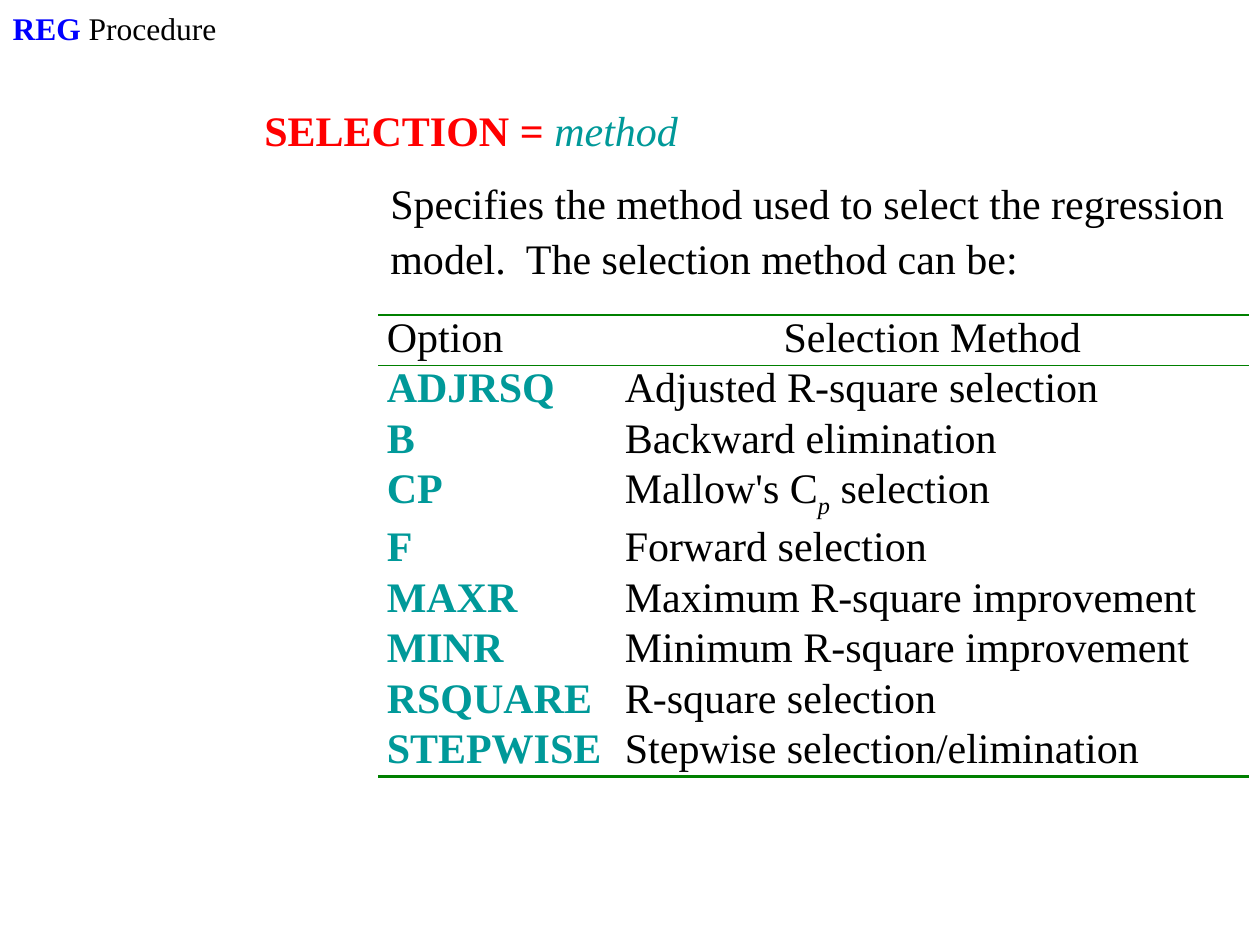
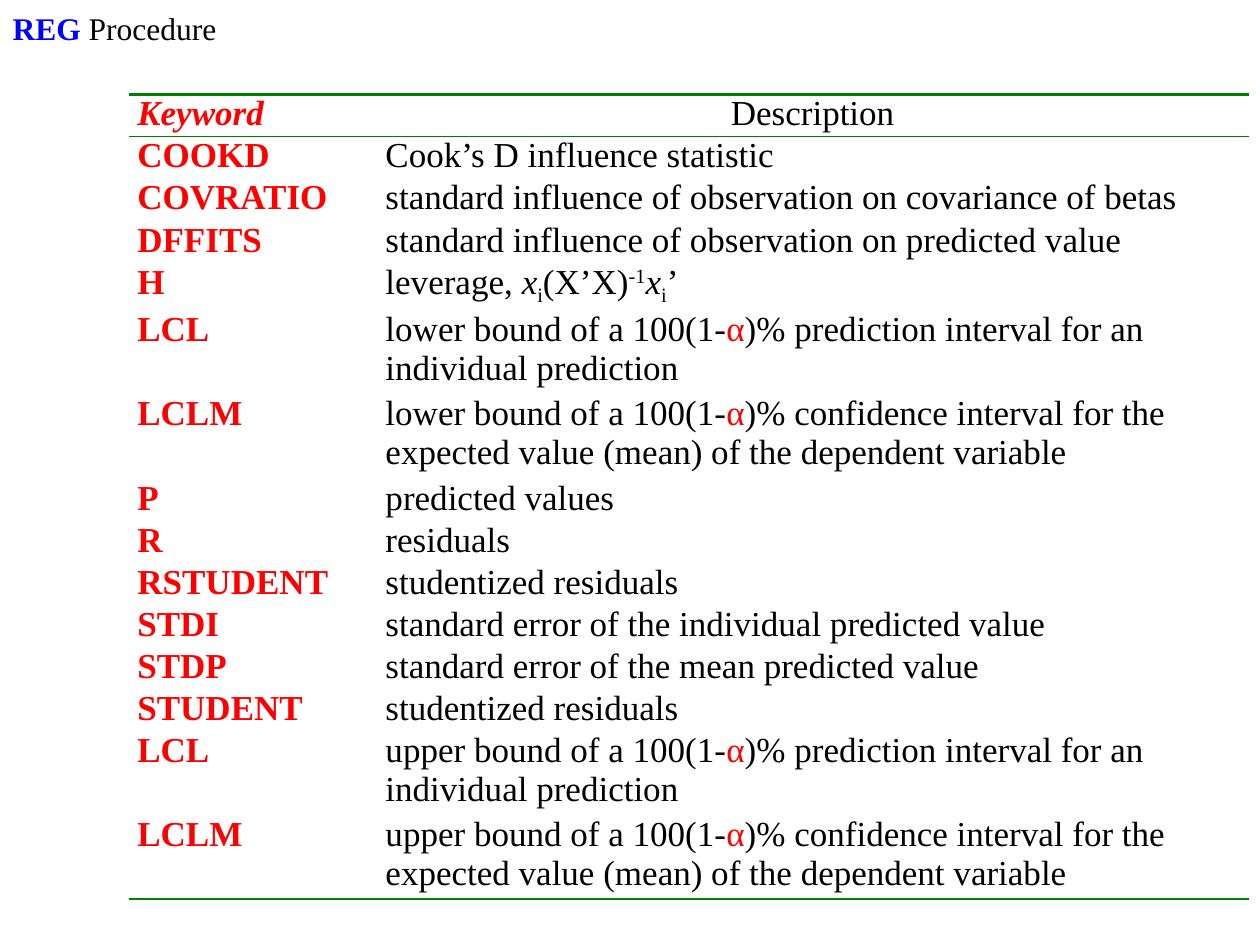
from lxml import etree
from pptx import Presentation
from pptx.dml.color import RGBColor
from pptx.enum.text import MSO_ANCHOR, MSO_AUTO_SIZE, PP_ALIGN
from pptx.oxml.ns import qn
from pptx.util import Inches, Pt

LEFT, CENTER = PP_ALIGN.LEFT, PP_ALIGN.CENTER
TOP = MSO_ANCHOR.TOP
GROW = MSO_AUTO_SIZE.SHAPE_TO_FIT_TEXT

BLACK = RGBColor(0, 0, 0)
BLUE = RGBColor(0, 0, 255)
RED = RGBColor(255, 0, 0)
TEAL = RGBColor(0, 0x99, 0x99)
GREEN = RGBColor(0, 0x80, 0)

FONT = "Times New Roman"
LEADING = 1.08
THICK, THIN = 1.5, 1

ITALIC = {"italic": True}
SUB, SUP = {"base": -25}, {"base": 30}
ALPHA = ("α", {"color": RED})

METHODS = [
    ("ADJRSQ", ["Adjusted R-square selection"]),
    ("B", ["Backward elimination"]),
    ("CP", ["Mallow's C", ("p", ITALIC | SUB), " selection"]),
    ("F", ["Forward selection"]),
    ("MAXR", ["Maximum R-square improvement"]),
    ("MINR", ["Minimum R-square improvement"]),
    ("RSQUARE", ["R-square selection"]),
    ("STEPWISE", ["Stepwise selection/elimination"]),
]


def bound(side, kind):
    """Runs that describe one end of an interval."""
    ends = {
        "prediction": "an individual prediction",
        "confidence": "the expected value (mean) of the dependent variable",
    }
    return [f"{side} bound of a 100(1-", ALPHA, f")% {kind} interval for {ends[kind]}"]


KEYWORDS = [
    ("COOKD", ["Cook’s D influence statistic"]),
    ("COVRATIO", ["standard influence of observation on covariance of betas"]),
    ("DFFITS", ["standard influence of observation on predicted value"]),
    ("H", ["leverage, ", ("x", ITALIC), ("i", SUB), "(X’X)", ("-1", SUP),
           ("x", ITALIC), ("i", SUB), "’"]),
    ("LCL", bound("lower", "prediction")),
    ("LCLM", bound("lower", "confidence")),
    ("P", ["predicted values"]),
    ("R", ["residuals"]),
    ("RSTUDENT", ["studentized residuals"]),
    ("STDI", ["standard error of the individual predicted value"]),
    ("STDP", ["standard error of the mean predicted value"]),
    ("STUDENT", ["studentized residuals"]),
    ("LCL", bound("upper", "prediction")),
    ("LCLM", bound("upper", "confidence")),
]


def write(frame, runs, size, align=LEFT):
    """Fill a text frame with runs, each a string or (string, formats)."""
    para = frame.paragraphs[0]
    para.alignment = align
    for item in runs:
        text, extra = (item, {}) if isinstance(item, str) else item
        look = {"name": FONT, "size": Pt(size), "bold": False, "italic": False,
                "color": BLACK, "base": 0} | extra
        color, base = look.pop("color"), look.pop("base")
        run = para.add_run()
        run.text = text
        run.font.color.rgb = color
        for name, value in look.items():
            setattr(run.font, name, value)
        if base:
            run.font._element.set("baseline", str(base * 1000))
    return para


def fill_box(shape, box, runs, size, wrap=False):
    shape.left, shape.top, shape.width, shape.height = map(Inches, box)
    frame = shape.text_frame
    for name, value in {"word_wrap": wrap, "auto_size": GROW,
                        "vertical_anchor": TOP}.items():
        setattr(frame, name, value)
    write(frame, runs, size).line_spacing = LEADING


def add_text(slide, box, runs, size, wrap=False):
    shape = slide.shapes.add_textbox(*map(Inches, box))
    fill_box(shape, box, runs, size, wrap)


def add_page(deck):
    """Add a slide with the shared heading."""
    slide = deck.slides.add_slide(deck.slide_layouts[5])
    heading = [("REG", {"bold": True, "color": BLUE}), " Procedure"]
    fill_box(slide.shapes.title, (0, 0, 1.84, 0.4), heading, 18)
    return slide


def set_edges(cell, top, bottom):
    """Draw the top and bottom edges in points; zero means no line."""
    props = cell._tc.get_or_add_tcPr()
    for side, width in {"L": 0, "R": 0, "T": top, "B": bottom}.items():
        line = etree.SubElement(props, qn(f"a:ln{side}"), w=str(Pt(width)))
        if width:
            fill = etree.SubElement(line, qn("a:solidFill"))
            etree.SubElement(fill, qn("a:srgbClr"), val=str(GREEN))
        else:
            etree.SubElement(line, qn("a:noFill"))


def add_list(slide, box, cols, head, rows, size, color, pitch, spans):
    """Add a ruled two-column list; spans gives the taller rows in lines."""
    count = len(rows) + 1
    table = slide.shapes.add_table(count, 2, *map(Inches, box)).table
    table.first_row = table.horz_banding = False
    for col, width in zip(table.columns, cols):
        col.width = Inches(width)
    key = {"bold": True, "color": color}
    body = [([(name, key)], runs) for name, runs in rows]
    for i, texts in enumerate([head] + body):
        table.rows[i].height = Inches(pitch * spans.get(i, 1))
        top = {0: THICK, 1: THIN}.get(i, 0)
        bottom = {0: THIN, count - 1: THICK}.get(i, 0)
        for j, runs in enumerate(texts):
            cell = table.cell(i, j)
            cell.margin_left = cell.margin_right = Inches(0.07)
            cell.margin_top = cell.margin_bottom = 0
            set_edges(cell, top, bottom)
            cell.fill.background()
            write(cell.text_frame, runs, size, CENTER if (i, j) == (0, 1) else LEFT)


def add_methods(deck):
    slide = add_page(deck)
    option = [("SELECTION = ", {"bold": True, "color": RED}),
              ("method", ITALIC | {"color": TEAL})]
    add_text(slide, (2, 0.75, 3.6, 0.5), option, 24)
    add_text(slide, (3, 1.33, 7, 0.91),
             ["Specifies the method used to select the regression model.  "
              "The selection method can be:"], 24, wrap=True)
    add_list(slide, (3, 2.5, 6.92, 3.6), (1.89, 5.02),
             (["Option"], ["Selection Method"]), METHODS, 24, TEAL,
             0.4, {3: 1.15})


def add_keywords(deck):
    slide = add_page(deck)
    head = ([("Keyword", {"bold": True, "italic": True, "color": RED})],
            ["Description"])
    spans = {4: 1.12} | dict.fromkeys((5, 6, 13, 14), 2)
    add_list(slide, (1.02, 0.75, 8.9, 6.33), (1.97, 6.92), head, KEYWORDS,
             20, RED, 6.33 / 19, spans)


def main():
    deck = Presentation()
    deck.slide_width, deck.slide_height = Inches(10), Inches(7.5)
    add_methods(deck)
    add_keywords(deck)
    deck.save("out.pptx")


if __name__ == "__main__":
    main()
